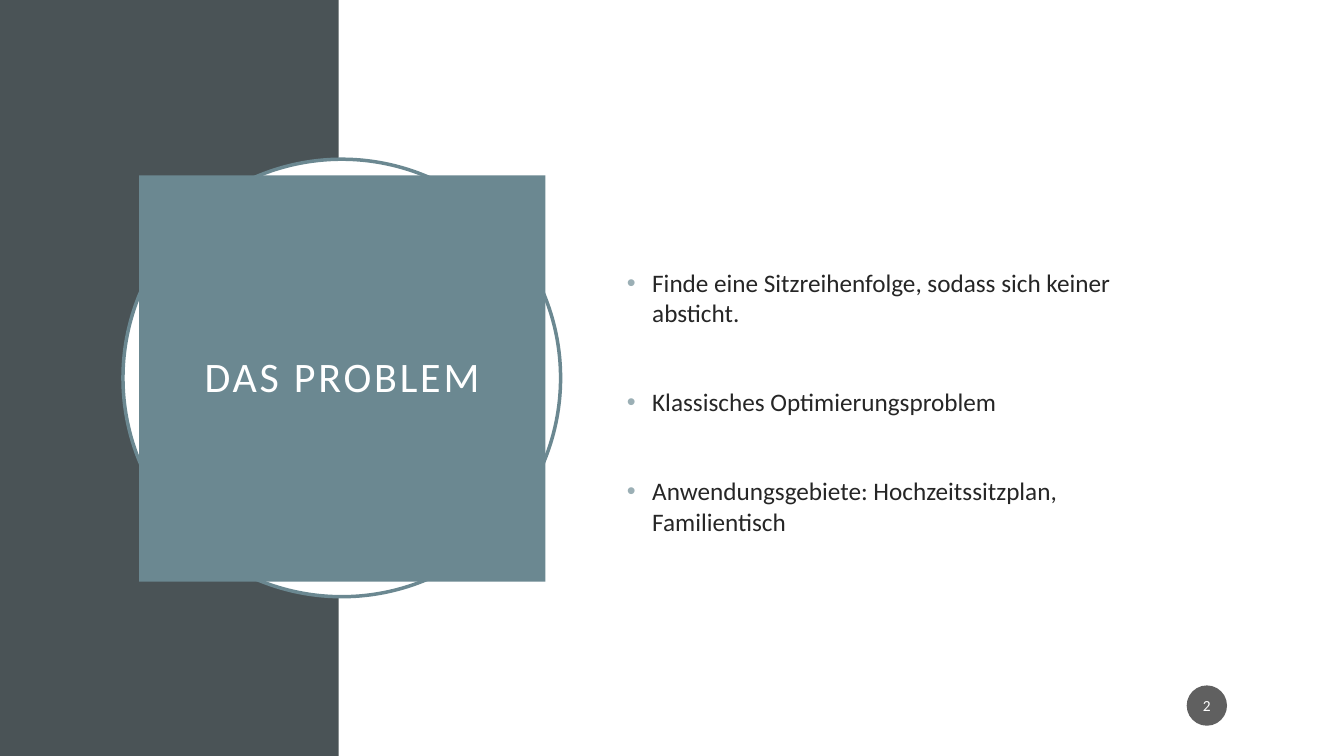
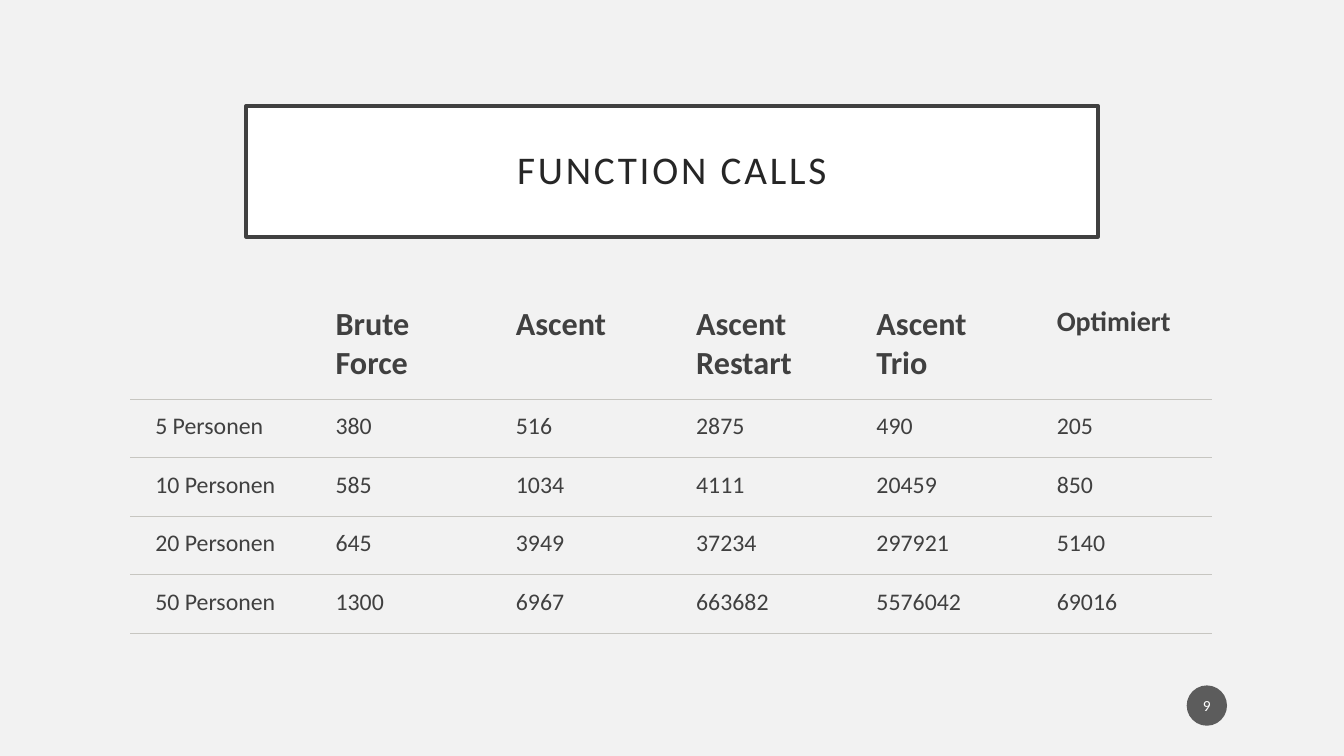
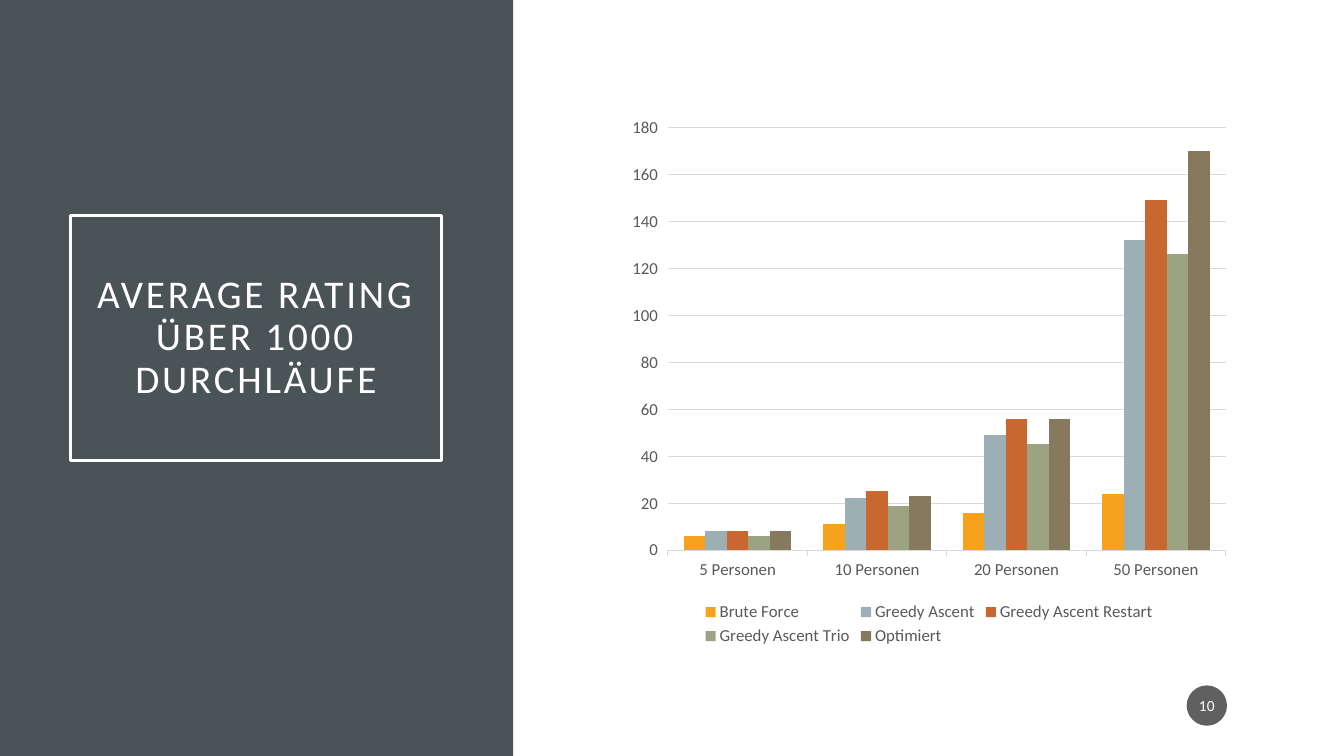
from lxml import etree
from pptx import Presentation
from pptx.chart.data import CategoryChartData
from pptx.dml.color import RGBColor
from pptx.enum.chart import XL_CHART_TYPE, XL_LEGEND_POSITION, XL_TICK_MARK
from pptx.enum.shapes import MSO_SHAPE
from pptx.enum.text import MSO_ANCHOR, MSO_AUTO_SIZE, PP_ALIGN
from pptx.oxml import parse_xml
from pptx.oxml.ns import nsdecls, qn
from pptx.util import Inches, Pt

RECTANGLE, OVAL = MSO_SHAPE.RECTANGLE, MSO_SHAPE.OVAL
MIDDLE, CENTER = MSO_ANCHOR.MIDDLE, PP_ALIGN.CENTER
NO_AUTOFIT = MSO_AUTO_SIZE.NONE
COLUMNS = XL_CHART_TYPE.COLUMN_CLUSTERED
LEGEND_BOTTOM = XL_LEGEND_POSITION.BOTTOM
TICK_OUTSIDE = XL_TICK_MARK.OUTSIDE

FONT = "Calibri"
WHITE = RGBColor(0xFF, 0xFF, 0xFF)
PALE_GRAY = RGBColor(0xF2, 0xF2, 0xF2)
SLATE = RGBColor(0x4A, 0x53, 0x56)
TEAL = RGBColor(0x6B, 0x88, 0x91)
INK = RGBColor(0x26, 0x26, 0x26)
DARK_GRAY = RGBColor(0x40, 0x40, 0x40)
BADGE = RGBColor(0x1D, 0x1D, 0x1D)
AXIS_TEXT = RGBColor(0x59, 0x59, 0x59)
GRID = RGBColor(0xD9, 0xD9, 0xD9)
ORANGE = RGBColor(0xF6, 0xA2, 0x1D)
BLUE_GRAY = RGBColor(0x9B, 0xAF, 0xB5)
RUST = RGBColor(0xC9, 0x67, 0x31)
SAGE = RGBColor(0x9C, 0xA3, 0x83)
BROWN = RGBColor(0x87, 0x79, 0x5D)
RULE_HEX = "C7C6C1"


def add_block(slide, kind, left, top, width, height, fill, line=None):
    shape = slide.shapes.add_shape(
        kind, Inches(left), Inches(top), Inches(width), Inches(height))
    shape.shadow.inherit = False
    shape.fill.solid()
    shape.fill.fore_color.rgb = fill
    if line is None:
        shape.line.fill.background()
    else:
        shape.line.color.rgb = line
        shape.line.width = Pt(2.5)
    return shape


def set_title(slide, text, left, top, width, height, size, color, fill=None, line=None):
    title = slide.shapes.title
    title.left, title.top = Inches(left), Inches(top)
    title.width, title.height = Inches(width), Inches(height)
    if fill is not None:
        title.fill.solid()
        title.fill.fore_color.rgb = fill
    if line is not None:
        title.line.color.rgb = line
        title.line.width = Pt(2.5)
    frame = title.text_frame
    frame.text = text
    frame.word_wrap = True
    frame.auto_size = NO_AUTOFIT
    frame.vertical_anchor = MIDDLE
    frame.margin_left = frame.margin_right = Inches(0.2)
    frame.margin_top = frame.margin_bottom = Inches(0.2)
    paragraph = frame.paragraphs[0]
    paragraph.alignment = CENTER
    paragraph.line_spacing = 0.9
    paragraph.font.name = FONT
    paragraph.font.size = Pt(size)
    paragraph.font.color.rgb = color
    # Letter spacing, and the title in front of the blocks added so far
    for properties in title.element.iter(qn("a:defRPr")):
        properties.set("spc", "200")
    title.element.getparent().append(title.element)


presentation = Presentation()
presentation.slide_width = Inches(13.33)
presentation.slide_height = Inches(7.5)
title_only = presentation.slide_layouts[5]

# Slides with background and page badge
slides = []
for number, background in ((2, WHITE), (9, PALE_GRAY), (10, WHITE)):
    slide = presentation.slides.add_slide(title_only)
    slide.background.fill.solid()
    slide.background.fill.fore_color.rgb = background
    badge = add_block(slide, OVAL, 11.77, 6.8, 0.4, 0.4, BADGE)
    for color in badge.element.spPr.iter(qn("a:srgbClr")):
        etree.SubElement(color, qn("a:alpha"), val="70000")
    frame = badge.text_frame
    frame.margin_left = frame.margin_right = Inches(0.02)
    frame.vertical_anchor = MIDDLE
    frame.text = str(number)
    paragraph = frame.paragraphs[0]
    paragraph.alignment = CENTER
    paragraph.font.name = FONT
    paragraph.font.size = Pt(11)
    paragraph.font.color.rgb = WHITE
    slides.append(slide)
problem_slide, calls_slide, rating_slide = slides

# Problem: side band, circle and title square
add_block(problem_slide, RECTANGLE, 0, 0, 3.36, 7.5, SLATE)
add_block(problem_slide, OVAL, 1.22, 1.58, 4.34, 4.34, WHITE, TEAL)
set_title(problem_slide, "DAS PROBLEM", 1.38, 1.74, 4.03, 4.03, 30, WHITE, fill=TEAL)

# Problem: bullet list
bullets = (
    "Finde eine Sitzreihenfolge, sodass sich keiner absticht.",
    "Klassisches Optimierungsproblem",
    "Anwendungsgebiete: Hochzeitssitzplan, Familientisch",
)
body = problem_slide.shapes.add_textbox(
    Inches(6.12), Inches(1.77), Inches(5.82), Inches(4.43))
frame = body.text_frame
frame.word_wrap = True
frame.vertical_anchor = MIDDLE
frame.text = "\n".join(bullets)
for index, paragraph in enumerate(frame.paragraphs):
    paragraph.space_before = Pt(42 if index else 0)
    paragraph.font.name = FONT
    paragraph.font.size = Pt(18)
    paragraph.font.color.rgb = INK
for properties in body.element.iter(qn("a:pPr")):
    properties.set("marL", str(Inches(0.25)))
    properties.set("indent", str(Inches(-0.25)))
    font_properties = properties.find(qn("a:defRPr"))
    for xml in (f'<a:buClr {nsdecls("a")}><a:srgbClr val="{BLUE_GRAY}"/></a:buClr>',
                f'<a:buFont {nsdecls("a")} typeface="Arial"/>',
                f'<a:buChar {nsdecls("a")} char="•"/>'):
        font_properties.addprevious(parse_xml(xml))

# Function calls: title and table
set_title(calls_slide, "FUNCTION CALLS", 2.44, 1.05, 8.45, 1.3, 28, INK, WHITE, DARK_GRAY)
rows = (
    ("", "Brute Force", "Ascent", "Ascent Restart", "Ascent Trio", "Optimiert"),
    ("5 Personen", "380", "516", "2875", "490", "205"),
    ("10 Personen", "585", "1034", "4111", "20459", "850"),
    ("20 Personen", "645", "3949", "37234", "297921", "5140"),
    ("50 Personen", "1300", "6967", "663682", "5576042", "69016"),
)
table_frame = calls_slide.shapes.add_table(
    len(rows), len(rows[0]), Inches(1.29), Inches(2.89), Inches(10.73), Inches(3.39))
table = table_frame.table
table.first_row = table.horz_banding = False
for style in table_frame.element.iter(qn("a:tableStyleId")):
    style.text = "{2D5ABB26-0587-4C30-8999-92F81FD0307C}"  # no style, no grid
for row_index, row in enumerate(rows):
    is_header = row_index == 0
    table.rows[row_index].height = Inches(1.07 if is_header else 0.58)
    for column_index, text in enumerate(row):
        cell = table.cell(row_index, column_index)
        cell.fill.background()
        cell.margin_left, cell.margin_right = Inches(0.25), Inches(0.19)
        cell.margin_top = cell.margin_bottom = Inches(0.13)
        cell.text = text
        font = cell.text_frame.paragraphs[0].font
        font.name = FONT
        font.bold = is_header
        font.color.rgb = DARK_GRAY
        if is_header:
            font.size = Pt(20 if text == "Optimiert" else 23)
        else:
            font.size = Pt(17)
for properties in table_frame.element.iter(qn("a:tcPr")):
    properties.insert(0, parse_xml(
        f'<a:lnB {nsdecls("a")} w="{Pt(0.75)}"><a:solidFill>'
        f'<a:srgbClr val="{RULE_HEX}"/></a:solidFill></a:lnB>'))

# Average rating: side band and title
add_block(rating_slide, RECTANGLE, 0, 0, 5.09, 7.5, SLATE)
set_title(rating_slide, "AVERAGE RATING ÜBER 1000 DURCHLÄUFE",
          0.7, 2.14, 3.68, 2.43, 28, WHITE, line=WHITE)

# Average rating: column chart
series_data = (
    ("Brute Force", (6, 11, 16, 24), ORANGE),
    ("Greedy Ascent", (8, 22, 49, 132), BLUE_GRAY),
    ("Greedy Ascent Restart", (8, 25, 56, 149), RUST),
    ("Greedy Ascent Trio", (6, 19, 45, 126), SAGE),
    ("Optimiert", (8, 23, 56, 170), BROWN),
)
chart_data = CategoryChartData()
chart_data.categories = [row[0] for row in rows[1:]]
for name, values, color in series_data:
    chart_data.add_series(name, values)
chart = rating_slide.shapes.add_chart(
    COLUMNS, Inches(6.15), Inches(1.06), Inches(6.13), Inches(5.39), chart_data).chart
chart.has_title = False
chart.font.name = FONT
chart.font.size = Pt(12)
chart.font.color.rgb = AXIS_TEXT
chart.has_legend = True
chart.legend.position = LEGEND_BOTTOM
chart.legend.include_in_layout = False
plot = chart.plots[0]
plot.vary_by_categories = False
plot.gap_width = 150
for series, (name, values, color) in zip(plot.series, series_data):
    series.invert_if_negative = False
    series.format.fill.solid()
    series.format.fill.fore_color.rgb = color
category_axis, value_axis = chart.category_axis, chart.value_axis
category_axis.major_tick_mark = value_axis.major_tick_mark = TICK_OUTSIDE
value_axis.minimum_scale, value_axis.maximum_scale = 0, 180
value_axis.major_unit = 20
value_axis.format.line.fill.background()
for line in (category_axis.format.line, value_axis.major_gridlines.format.line):
    line.color.rgb = GRID
    line.width = Pt(0.75)

presentation.save("out.pptx")
